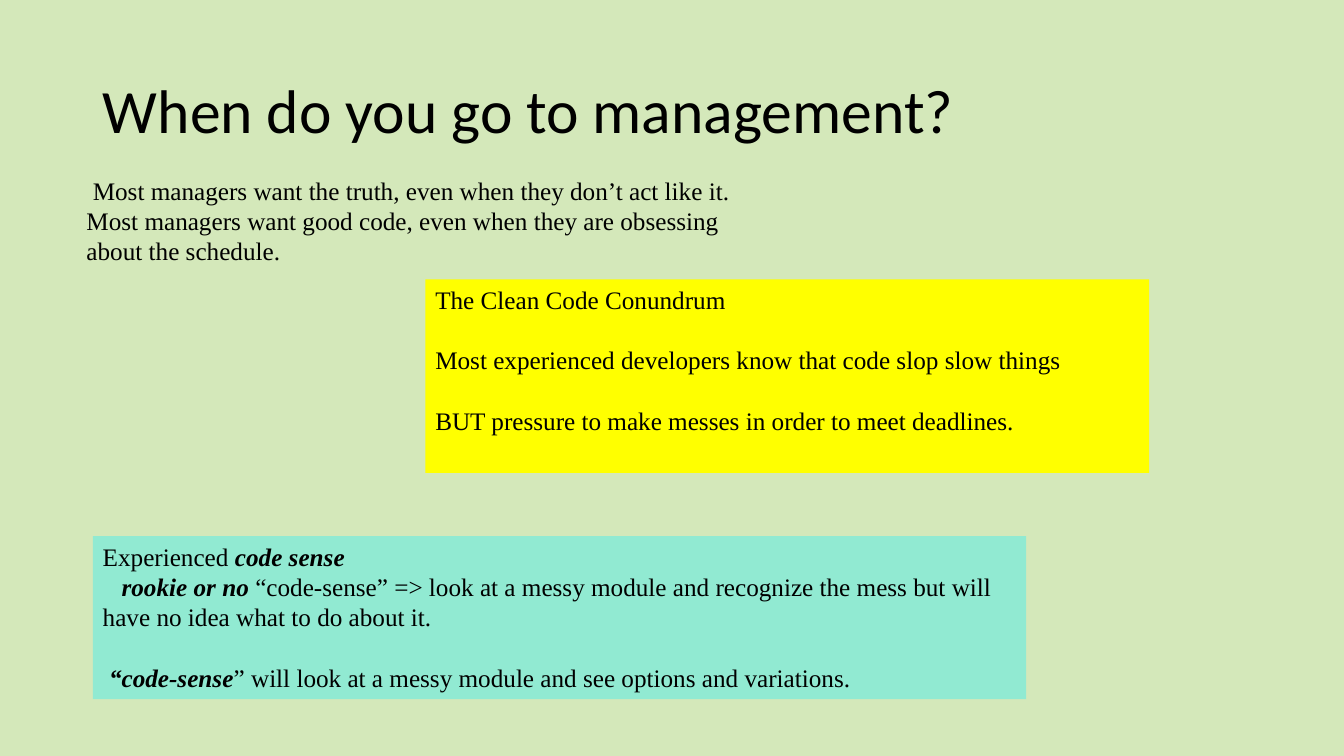
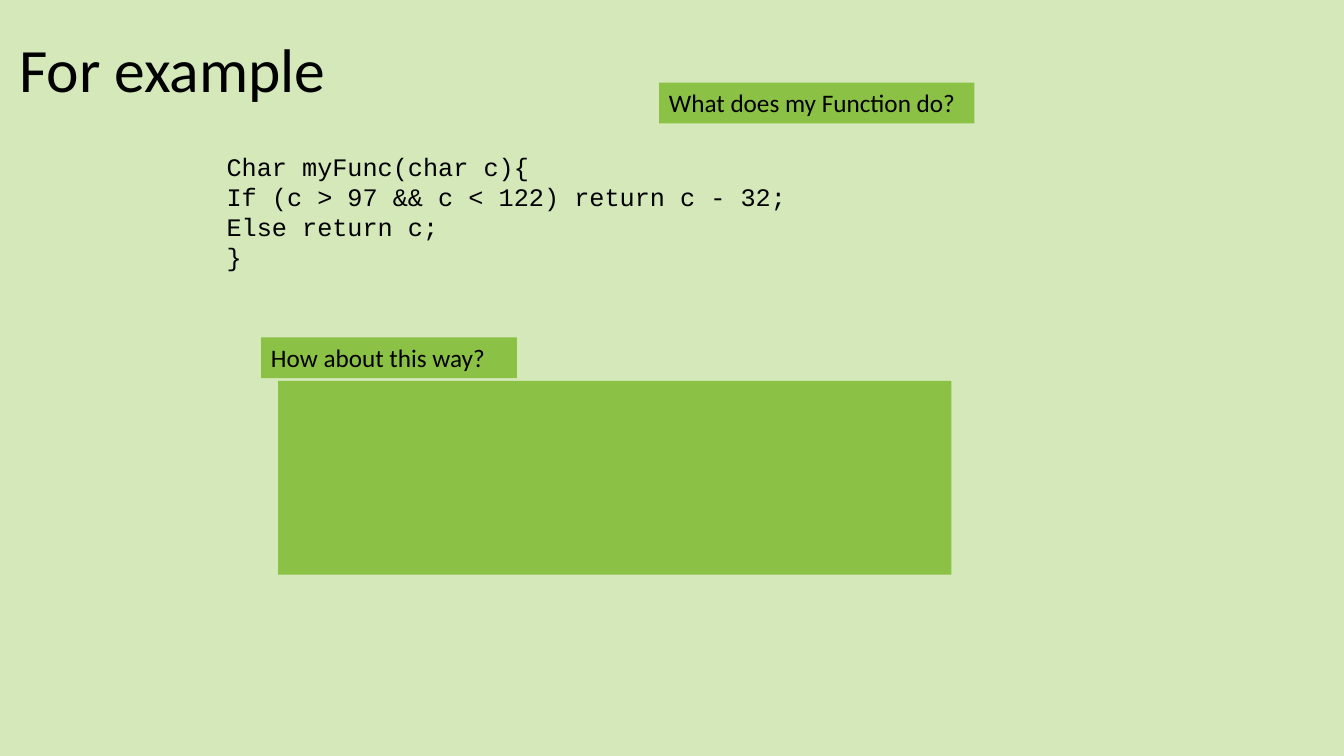
"""Build two slides on clean code: talking to management, and a code example."""
from dataclasses import dataclass

from pptx import Presentation
from pptx.dml.color import RGBColor
from pptx.enum.shapes import MSO_SHAPE
from pptx.enum.text import MSO_ANCHOR, PP_ALIGN
from pptx.util import Cm, Pt


@dataclass(frozen=True)
class Theme:
    background: RGBColor = RGBColor(0xD4, 0xE8, 0xBA)
    ink: RGBColor = RGBColor(0, 0, 0)
    yellow: RGBColor = RGBColor(0xFF, 0xFF, 0)
    mint: RGBColor = RGBColor(0x91, 0xEA, 0xD2)
    green: RGBColor = RGBColor(0x8B, 0xC1, 0x45)
    sans: str = "Calibri"
    serif: str = "Times New Roman"
    mono: str = "Courier New"
    title_size: Pt = Pt(44)
    body_size: Pt = Pt(18)
    line_gap: Pt = Pt(21.5)


theme = Theme()


def add_titled_slide(title, left, top):
    slide = deck.slides.add_slide(title_only)
    heading = slide.shapes.title
    heading.left, heading.top = Cm(left), Cm(top)
    heading.width, heading.height = Cm(29.21), Cm(3.68)
    heading.text_frame.vertical_anchor = MSO_ANCHOR.MIDDLE
    line = heading.text_frame.paragraphs[0]
    line.alignment = PP_ALIGN.LEFT
    line.line_spacing = 0.9
    run = line.add_run()
    run.text = title
    run.font.name = theme.sans
    run.font.size = theme.title_size
    run.font.color.rgb = theme.ink
    return slide


def add_note(slide, box, font_name, lines, fill=None, gap_lines=(), indents=None):
    note = slide.shapes.add_textbox(*map(Cm, box))
    if fill is not None:
        note.fill.solid()
        note.fill.fore_color.rgb = fill
    frame = note.text_frame
    frame.word_wrap = True
    for index, runs in enumerate(lines):
        line = frame.paragraphs[0] if index == 0 else frame.add_paragraph()
        if index in gap_lines:
            line.space_before = theme.line_gap
        if indents and index in indents:
            line._p.get_or_add_pPr().set("indent", str(Pt(indents[index])))
        for text, emphasised in runs:
            run = line.add_run()
            run.text = text
            run.font.name = font_name
            run.font.size = theme.body_size
            run.font.color.rgb = theme.ink
            run.font.bold = run.font.italic = emphasised


deck = Presentation()
deck.slide_width, deck.slide_height = Cm(33.87), Cm(19.05)
title_only = deck.slide_layouts[5]
deck.slide_master.background.fill.solid()
deck.slide_master.background.fill.fore_color.rgb = theme.background

management = add_titled_slide("When do you go to management?", 2.34, 1.02)
add_note(
    management, (1.93, 4.29, 16.94, 2.57), theme.serif,
    [[("Most managers want the truth, even when they don’t act like it. "
       "Most managers want good code, even when they are obsessing about the schedule.", False)]],
    indents={0: 4.5},
)
add_note(
    management, (10.72, 7.04, 18.24, 4.88), theme.serif,
    [
        [("The Clean Code Conundrum", False)],
        [("Most experienced developers know that code slop slow things", False)],
        [("BUT pressure to make messes in order to meet deadlines.", False)],
    ],
    fill=theme.yellow, gap_lines=(1, 2),
)
add_note(
    management, (2.34, 13.51, 23.52, 4.11), theme.serif,
    [
        [("Experienced ", False), ("code sense", True)],
        [("rookie or no ", True),
         ("“code-sense” => look at a messy module and recognize the mess "
          "but will have no idea what to do about it.", False)],
        [("“code-sense", True),
         ("” will look at a messy module and see options and variations.", False)],
    ],
    fill=theme.mint, gap_lines=(2,), indents={1: 13.5, 2: 4.5},
)

example = add_titled_slide("For example", 0.23, 0)
code = (
    "Char myFunc(char c){",
    "If (c > 97 && c < 122) return c - 32;",
    "Else return c;",
    "}",
)
add_note(example, (5.46, 3.68, 14.8, 4.11), theme.mono, [[(text, False)] for text in code])

answer_area = example.shapes.add_shape(
    MSO_SHAPE.RECTANGLE, Cm(7.01), Cm(9.6), Cm(16.97), Cm(4.88)
)
answer_area.shadow.inherit = False
answer_area.fill.solid()
answer_area.fill.fore_color.rgb = theme.green
answer_area.line.fill.background()

questions = (
    ("What does my Function do?", (16.61, 2.08, 7.95, 1.03)),
    ("How about this way?", (6.58, 8.5, 6.45, 1.03)),
)
for question, box in questions:
    add_note(example, box, theme.sans, [[(question, False)]], fill=theme.green)

deck.save("out.pptx")
